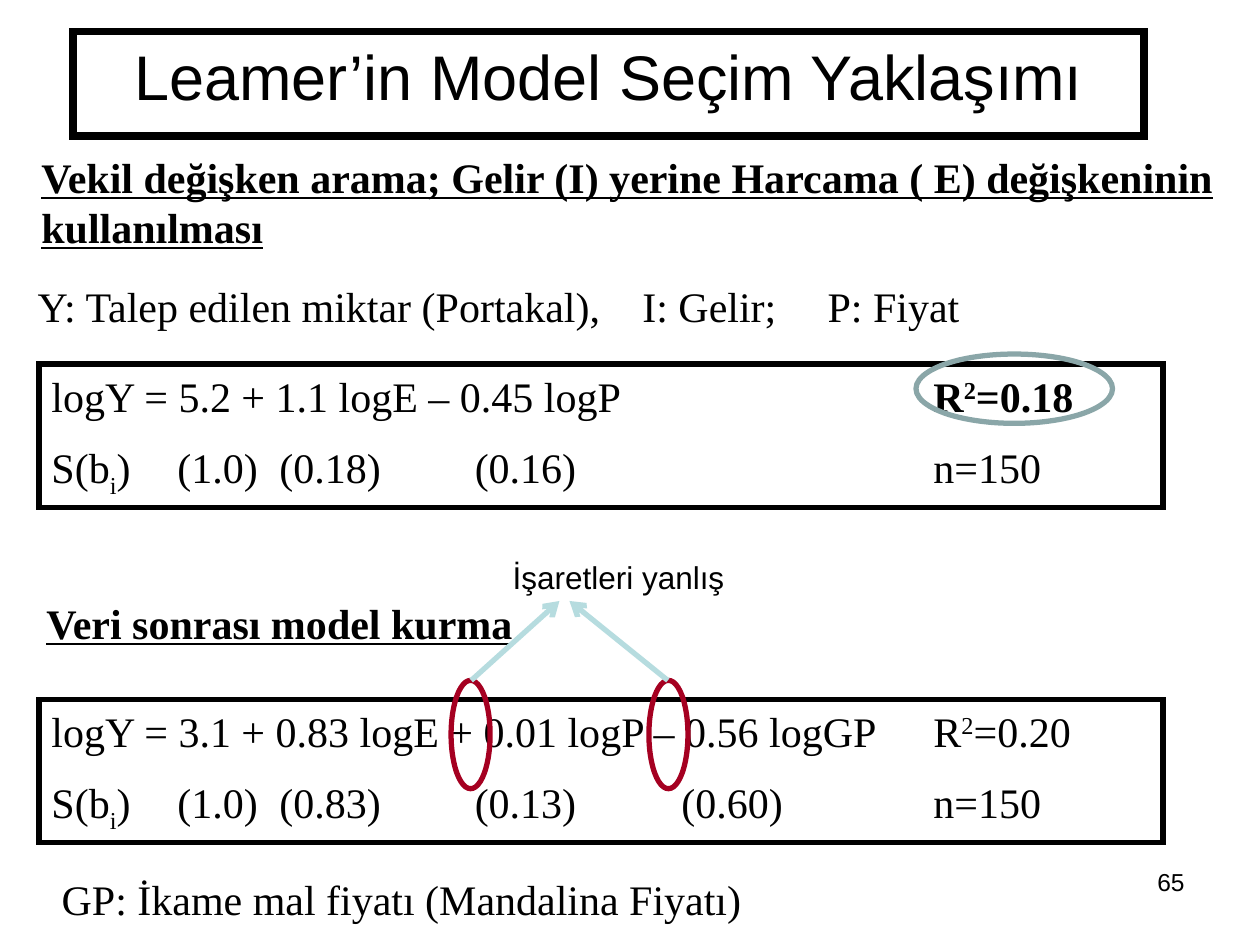
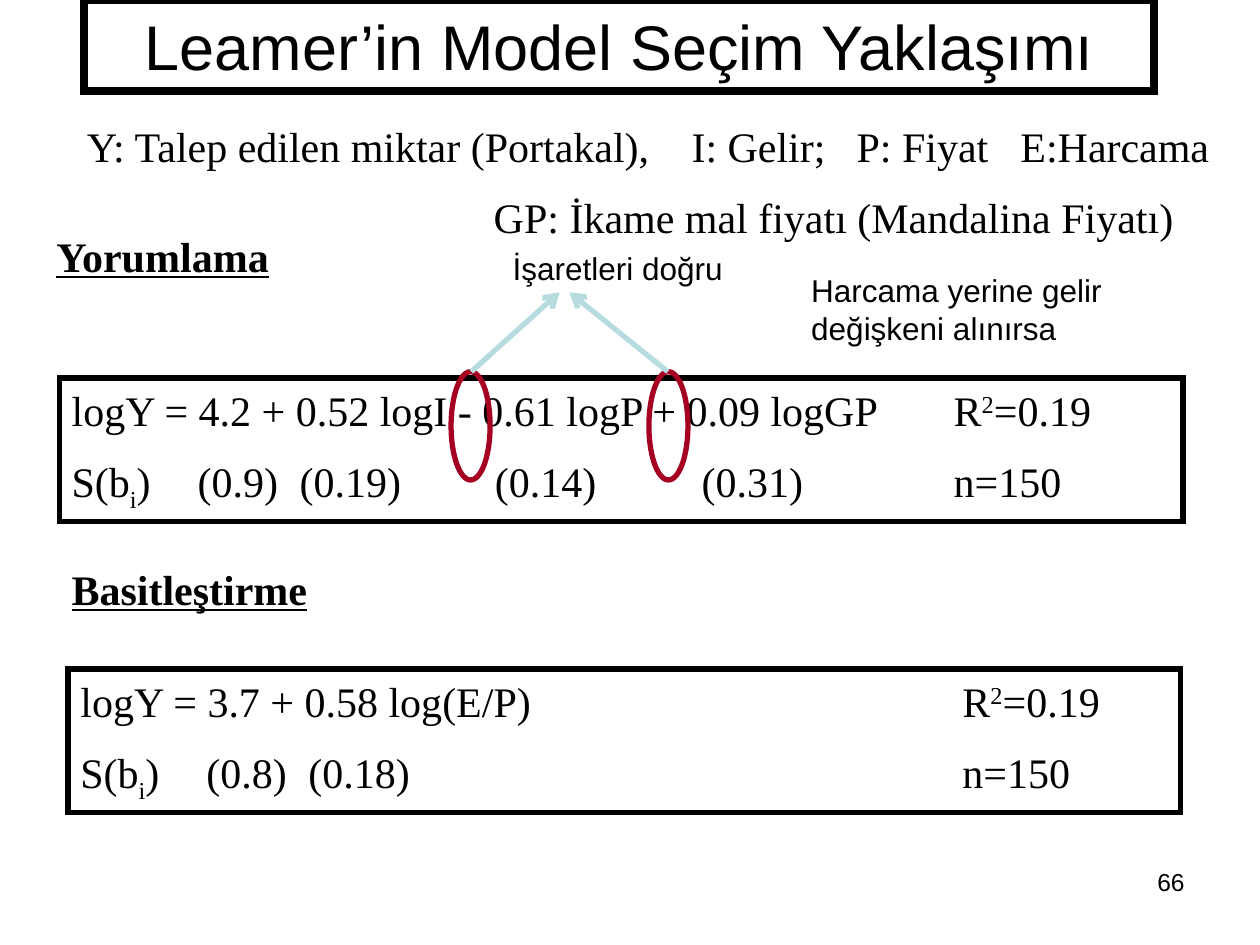
from dataclasses import dataclass

import lxml.etree
import pptx
import pptx.dml.color
import pptx.enum.shapes
import pptx.enum.text
import pptx.oxml.ns
import pptx.util

Inches = pptx.util.Inches
Pt = pptx.util.Pt
qn = pptx.oxml.ns.qn
Shapes = pptx.enum.shapes.MSO_SHAPE
Align = pptx.enum.text.PP_ALIGN
Anchor = pptx.enum.text.MSO_ANCHOR


@dataclass(frozen=True)
class Theme:
    ink: str = "000000"
    sign: str = "A50021"
    arrow: str = "B6DCDF"
    highlight: str = "8AA6A8"
    sans: str = "Arial"
    serif: str = "Times New Roman"
    title_size: int = 36
    body_size: int = 24
    note_size: int = 18
    number_size: int = 14
    title_line: float = 4.5
    line: float = 3
    row_gap: int = 12


TITLE = "Leamer’in Model Seçim Yaklaşımı"
SUBSTITUTE = "GP: İkame mal fiyatı (Mandalina Fiyatı)"
ERROR_STOPS = (1, 1.81, 3.36, 5)
FIT_STOP = 7


class Deck:
    def __init__(self, theme):
        self.theme = theme
        self.presentation = pptx.Presentation()
        self.presentation.slide_width = Inches(10)
        self.presentation.slide_height = Inches(7.5)
        self.slide = None

    def new_slide(self, number):
        self.slide = self.presentation.slides.add_slide(self.presentation.slide_layouts[6])
        self.text(7.17, 6.83, 2.33, 0.52, str(number), self.theme.sans,
                  self.theme.number_size, align=Align.RIGHT)

    def format_runs(self, paragraph, font, size, bold=False, underline=False):
        for run in paragraph.runs:
            run.font.name = font
            run.font.size = Pt(size)
            run.font.bold = bold
            run.font.underline = underline
            run.font.color.rgb = pptx.dml.color.RGBColor.from_string(self.theme.ink)

    def set_tabs(self, paragraph, stops):
        tab_list = lxml.etree.SubElement(paragraph._p.get_or_add_pPr(), qn("a:tabLst"))
        for stop in stops:
            lxml.etree.SubElement(tab_list, qn("a:tab"), pos=str(Inches(stop)), algn="l")

    def text(self, left, top, width, height, wording, font, size,
             align=Align.LEFT, stops=(), **emphasis):
        shape = self.slide.shapes.add_textbox(*map(Inches, (left, top, width, height)))
        shape.text_frame.word_wrap = True
        shape.text_frame.text = wording
        paragraph = shape.text_frame.paragraphs[0]
        paragraph.alignment = align
        if stops:
            self.set_tabs(paragraph, stops)
        self.format_runs(paragraph, font, size, **emphasis)

    def body(self, left, top, width, wording, height=0.5, **options):
        self.text(left, top, width, height, wording, self.theme.serif,
                  self.theme.body_size, **options)

    def heading(self, left, top, width, wording, height=0.5):
        self.body(left, top, width, wording, height, bold=True, underline=True)

    def note(self, left, top, width, height, wording):
        self.text(left, top, width, height, wording, self.theme.sans, self.theme.note_size)

    def outline(self, kind, left, top, width, height, color, weight):
        shape = self.slide.shapes.add_shape(kind, *map(Inches, (left, top, width, height)))
        shape.shadow.inherit = False
        shape.fill.background()
        shape.line.color.rgb = pptx.dml.color.RGBColor.from_string(color)
        shape.line.width = Pt(weight)
        if kind == Shapes.RECTANGLE:
            lxml.etree.SubElement(shape.line._get_or_add_ln(), qn("a:miter"), lim="800000")
        return shape

    def ellipse(self, left, top, width, height, color):
        self.outline(Shapes.OVAL, left, top, width, height, color, self.theme.line)

    def title(self, left, top, width, height, anchor):
        shape = self.outline(Shapes.RECTANGLE, left, top, width, height,
                             self.theme.ink, self.theme.title_line)
        shape.text_frame.word_wrap = True
        shape.text_frame.vertical_anchor = anchor
        shape.text_frame.text = TITLE
        paragraph = shape.text_frame.paragraphs[0]
        paragraph.alignment = Align.CENTER
        self.format_runs(paragraph, self.theme.sans, self.theme.title_size)

    def model(self, left, top, width, equation, errors, fit, strong_fit=False):
        shape = self.outline(Shapes.RECTANGLE, left, top, width, 1.14,
                             self.theme.ink, self.theme.line)
        frame = shape.text_frame
        frame.word_wrap = True
        frame.vertical_anchor = Anchor.TOP
        error_text = "".join(f"\t({error})" for error in errors)
        rows = (
            ((FIT_STOP,), ((equation + "\t", 0), ("R", 0), ("2", 30), (f"={fit}", 0))),
            (ERROR_STOPS[:len(errors)] + (FIT_STOP,),
             (("S(b", 0), ("i", -25), (f"){error_text}\tn=150", 0))),
        )
        for index, (stops, parts) in enumerate(rows):
            paragraph = frame.add_paragraph() if index else frame.paragraphs[0]
            paragraph.alignment = Align.LEFT
            if index:
                paragraph.space_before = Pt(self.theme.row_gap)
            self.set_tabs(paragraph, stops)
            for wording, baseline in parts:
                run = paragraph.add_run()
                run.text = wording
                if baseline:
                    run._r.get_or_add_rPr().set("baseline", str(baseline * 1000))
            self.format_runs(paragraph, self.theme.serif, self.theme.body_size)
        if strong_fit:
            for run in frame.paragraphs[0].runs[1:]:
                run.font.bold = True

    def arrow(self, start_x, start_y, end_x, end_y):
        connector = self.slide.shapes.add_connector(
            pptx.enum.shapes.MSO_CONNECTOR.STRAIGHT,
            *map(Inches, (start_x, start_y, end_x, end_y)))
        connector.line.color.rgb = pptx.dml.color.RGBColor.from_string(self.theme.arrow)
        connector.line.width = Pt(self.theme.line)
        lxml.etree.SubElement(connector.line._get_or_add_ln(), qn("a:tailEnd"), type="arrow")
        lxml.etree.SubElement(connector._element.spPr, qn("a:effectLst"))

    def sign_check(self, top, verdict):
        for left in (3.58, 5.15):
            self.ellipse(left, top, 0.31, 0.86, self.theme.sign)
        for start, end in ((3.74, 4.44), (5.3, 4.52)):
            self.arrow(start, top, end, top - 0.63)
        self.note(3.97, top - 1.02, 2.58, 0.4, verdict)


def proxy_and_post_data(deck):
    deck.new_slide(65)
    deck.title(0.58, 0.25, 8.5, 0.83, Anchor.TOP)
    deck.heading(0.23, 1.15, 9.77, "Vekil değişken arama; Gelir (I) yerine Harcama ( E) "
                 "değişkeninin kullanılması", height=0.9)
    deck.model(0.31, 2.89, 8.92, "logY = 5.2 + 1.1 logE – 0.45 logP",
               ("1.0", "0.18", "0.16"), "0.18", strong_fit=True)
    deck.heading(0.27, 4.69, 9.3, "Veri sonrası model kurma")
    deck.model(0.31, 5.55, 8.92, "logY = 3.1 + 0.83 logE + 0.01 logP – 0.56 logGP",
               ("1.0", "0.83", "0.13", "0.60"), "0.20")
    deck.body(0.39, 6.88, 5.62, SUBSTITUTE)
    deck.ellipse(7.27, 2.81, 1.56, 0.55, deck.theme.highlight)
    deck.sign_check(5.4, "İşaretleri yanlış")
    deck.body(0.2, 2.18, 9.22, "Y: Talep edilen miktar (Portakal),\tI: Gelir;\tP: Fiyat",
              stops=(4.8, 6.27))


def interpretation_and_simplification(deck):
    deck.new_slide(66)
    deck.title(0.67, 0, 8.49, 0.72, Anchor.MIDDLE)
    deck.model(0.47, 3, 8.92, "logY = 4.2 + 0.52 logI - 0.61 logP + 0.09 logGP",
               ("0.9", "0.19", "0.14", "0.31"), "0.19")
    deck.model(0.54, 5.31, 8.83, "logY = 3.7 + 0.58 log(E/P)", ("0.8", "0.18"), "0.19")
    deck.heading(0.35, 1.78, 9.14, "Yorumlama")
    deck.heading(0.47, 4.42, 5.94, "Basitleştirme")
    deck.sign_check(2.95, "İşaretleri doğru")
    deck.body(0.59, 0.91, 9.22,
              "Y: Talep edilen miktar (Portakal),\tI: Gelir;\tP: Fiyat\tE:Harcama",
              stops=(4.8, 6.11, 7.41))
    deck.body(3.82, 1.47, 5.62, SUBSTITUTE)
    deck.note(6.34, 2.1, 3.07, 0.7, "Harcama yerine gelir değişkeni alınırsa")


def main():
    deck = Deck(Theme())
    proxy_and_post_data(deck)
    interpretation_and_simplification(deck)
    deck.presentation.save("out.pptx")


if __name__ == "__main__":
    main()
